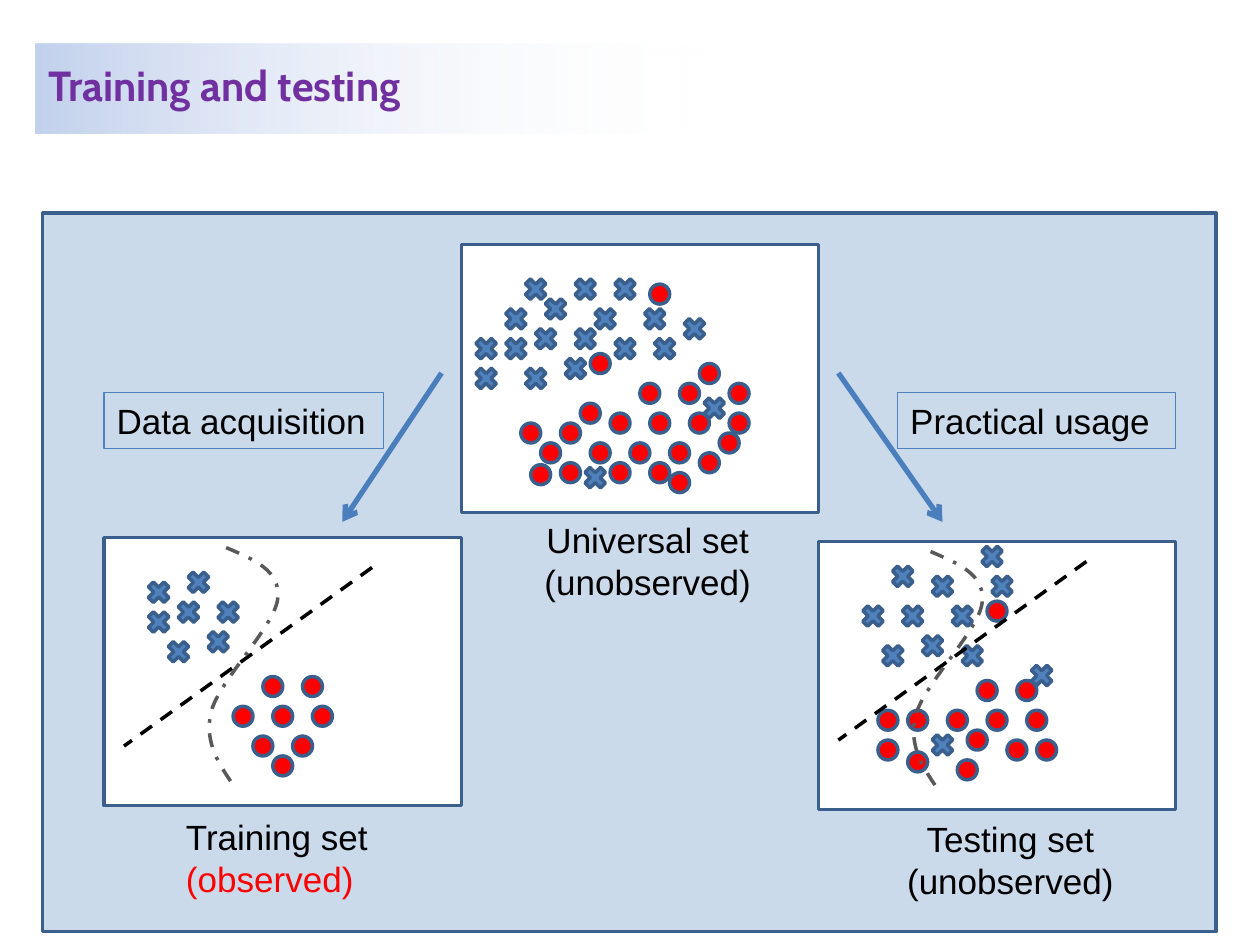
from lxml import etree
from pptx import Presentation
from pptx.dml.color import RGBColor
from pptx.enum.dml import MSO_LINE
from pptx.enum.shapes import MSO_CONNECTOR, MSO_SHAPE
from pptx.enum.text import MSO_ANCHOR, PP_ALIGN
from pptx.oxml.ns import qn
from pptx.util import Inches, Pt

RECT = MSO_SHAPE.RECTANGLE
FRAME = MSO_SHAPE.FLOWCHART_PROCESS
CROSS = MSO_SHAPE.MATH_MULTIPLY
DOT = MSO_SHAPE.FLOWCHART_CONNECTOR
LINE = MSO_CONNECTOR.STRAIGHT
DASH, MIXED = MSO_LINE.DASH, MSO_LINE.DASH_DOT
LEFT, MID = PP_ALIGN.LEFT, PP_ALIGN.CENTER
TOP, CENTRE = MSO_ANCHOR.TOP, MSO_ANCHOR.MIDDLE

WIDE, HIGH = Inches(10), Inches(7.5)
CELL = WIDE / 127
INK = {"blue": "4F81BD", "edge": "3A5F8C", "arrow": "4B7EBC", "red": "FF0000",
       "grey": "595959", "black": "000000", "white": "FFFFFF",
       "title": "7030A0", "band": "C2D1ED"}

CURVE = [(12.3, 1), (15.1, 2.2), (17.8, 3.3), (17.5, 6.1), (17.3, 8.8),
         (11.6, 14.4), (10.8, 17.5), (10, 20.7), (11.7, 23), (13.2, 25.2)]

SETS = [
    {"box": (46.5, 24.65, 36, 27), "note": (7, 27, 23.6, 9.8), "align": MID,
     "text": [[("Universal set", "black")], [("(unobserved)", "black")]],
     "cross": [(4, 6), (7, 8), (6, 3), (4, 9), (1, 9), (10, 11), (6, 12),
               (13, 6), (18, 6), (15, 9), (15, 3), (11, 3), (8, 5), (11, 8),
               (1, 12), (19, 9), (22, 7)],
     "dot": [(18, 14), (15, 17), (22, 14), (19, 17), (17, 20), (23, 17),
             (21, 20), (19, 22), (24, 12), (27, 17), (26, 19), (27, 14),
             (24, 21), (12, 16), (15, 22), (13, 20), (10, 18), (21, 23),
             (10, 22), (19, 4), (13, 11), (8, 20), (6, 18), (7, 22.2)],
     "stray": [(12, 22), (24, 15)]},
    {"box": (10.5, 54.2, 36, 27), "note": (7, 27.4, 25.3, 9.8), "align": LEFT,
     "text": [[("Training set ", "black"), ("(observed)", "red")]],
     "cross": [(4, 4), (7, 6), (8, 3), (4, 7), (11, 6), (10, 9), (6, 10)],
     "dot": [(16, 14), (13, 17), (20, 14), (17, 17), (15, 20), (21, 17),
             (19, 20), (17, 22)],
     "stray": [], "split": [(27, 3), (2, 21)], "shift": 0},
    {"box": (82.5, 54.6, 36, 27), "note": (7, 27.2, 24.7, 9.8), "align": MID,
     "text": [[("Testing set", "black")], [("(unobserved)", "black")]],
     "cross": [(4, 6), (7, 2), (11, 3), (16, 0), (13, 6), (10, 9), (6, 10),
               (8, 6), (17, 3), (14, 10)],
     "dot": [(16, 14), (13, 17), (20, 14), (17, 17), (15, 19), (21, 17),
             (19, 20), (14, 22), (9, 17), (9, 21.2), (17, 6), (22, 20),
             (6, 17), (6, 20)],
     "stray": [(21, 12), (11, 19)], "split": [(27, 2), (2, 20)], "shift": -1},
]


def rgb(name):
    """Return the named colour."""
    return RGBColor.from_string(INK[name])


def span(*cells):
    """Turn grid cells into lengths."""
    return [round(n * CELL) for n in cells]


def fade(node, share):
    """Set the opacity of a colour in percent."""
    etree.SubElement(node, qn("a:alpha"), val=str(share * 1000))


def stroke(line, name, width, dash=None):
    """Style a line."""
    line.color.rgb = rgb(name)
    line.width = Pt(width)
    if dash:
        line.dash_style = dash


def block(slide, kind, box, fill=None, edge="edge", width=2):
    """Add a flat shape on the grid."""
    shape = slide.shapes.add_shape(kind, *span(*box))
    shape.shadow.inherit = False
    if fill:
        shape.fill.solid()
        shape.fill.fore_color.rgb = rgb(fill)
    else:
        shape.fill.background()
    stroke(shape.line, edge, width)
    return shape


def write(shape, paras, align=LEFT, anchor=TOP, font="Arial", size=20, bold=False):
    """Fill a shape with paragraphs of coloured runs."""
    frame = shape.text_frame
    frame.word_wrap = True
    frame.vertical_anchor = anchor
    for i, runs in enumerate(paras):
        para = frame.add_paragraph() if i else frame.paragraphs[0]
        para.alignment = align
        for text, name in runs:
            run = para.add_run()
            run.text = text
            run.font.name = font
            run.font.size = Pt(size)
            run.font.bold = bold
            run.font.color.rgb = rgb(name)


def link(slide, start, end, name, width, dash=None, head=False):
    """Add a straight line, with an arrowhead if asked."""
    line = slide.shapes.add_connector(LINE, *span(*start, *end))
    stroke(line.line, name, width, dash)
    if head:
        etree.SubElement(line.line._get_or_add_ln(), qn("a:tailEnd"), type="arrow")
    etree.SubElement(line._element.spPr, qn("a:effectLst"))


def bend(slide, dots):
    """Add a smooth dash-dot curve through Bezier points."""
    dots = [span(*dot) for dot in dots]
    form = slide.shapes.build_freeform(*dots[0])
    form.add_line_segments(dots[1:], close=False)
    shape = form.convert_to_shape()
    shape.shadow.inherit = False
    shape.fill.background()
    stroke(shape.line, "grey", 2, MIXED)
    steps = shape._element.xpath(".//a:lnTo")
    for i in range(0, len(steps), 3):
        cubic = etree.Element(qn("a:cubicBezTo"))
        steps[i].addprevious(cubic)
        for step in steps[i:i + 3]:
            cubic.append(step[0])
            step.getparent().remove(step)


def head(slide, box):
    """Place the title on its fading band."""
    title = slide.shapes.title
    title.left, title.top, title.width, title.height = span(*box)
    title.fill.gradient()
    title.fill.gradient_angle = 0
    for stop, name, place in zip(title.fill.gradient_stops, ("band", "white"), (0, 0.7)):
        stop.color.rgb = rgb(name)
        stop.position = place
    fade(title._element.xpath(".//a:gs/a:srgbClr")[-1], 0)
    write(title, [[("Training and testing", "title")]], anchor=CENTRE,
          font="Cabin", size=24, bold=True)
    title.text_frame.paragraphs[0].line_spacing = 0.85


def plot(slide, data):
    """Place one data set with its marks, borders and caption."""
    left, top = data["box"][:2]
    block(slide, FRAME, data["box"], "white")
    for key, kind, size, fill in (("cross", CROSS, 3, "blue"), ("dot", DOT, 2, "red"),
                                  ("stray", CROSS, 3, "blue")):
        for x, y in data[key]:
            block(slide, kind, (left + x, top + y, size, size), fill)
    if "split" in data:
        ends = [(left + x, top + y) for x, y in data["split"]]
        link(slide, *ends, "black", 2, DASH)
        bend(slide, [(left + x + data["shift"], top + y) for x, y in CURVE])
    x, y, wide, high = data["note"]
    note = slide.shapes.add_textbox(*span(left + x, top + y, wide, high))
    write(note, data["text"], data["align"])


def route(slide, box, text, start, end):
    """Place an arrow and its framed label."""
    link(slide, start, end, "arrow", 3, head=True)
    write(block(slide, RECT, box, edge="blue", width=0.75), [[(text, "black")]])


def main():
    """Build the slide."""
    deck = Presentation()
    deck.slide_width, deck.slide_height = WIDE, HIGH
    slide = deck.slides.add_slide(deck.slide_layouts[5])
    head(slide, (3.6, 4.4, 96.5, 9.1))
    panel = block(slide, RECT, (4.3, 21.5, 118.3, 72.4), "blue")
    fade(panel._element.spPr.find(qn("a:solidFill"))[0], 29)
    for data in SETS:
        plot(slide, data)
    route(slide, (10.5, 39.6, 28.2, 5.6), "Data acquisition", (44.5, 37.6), (34.5, 52.6))
    route(slide, (90.5, 39.6, 28, 5.6), "Practical usage", (84.5, 37.6), (95, 52.6))
    deck.save("out.pptx")


if __name__ == "__main__":
    main()
